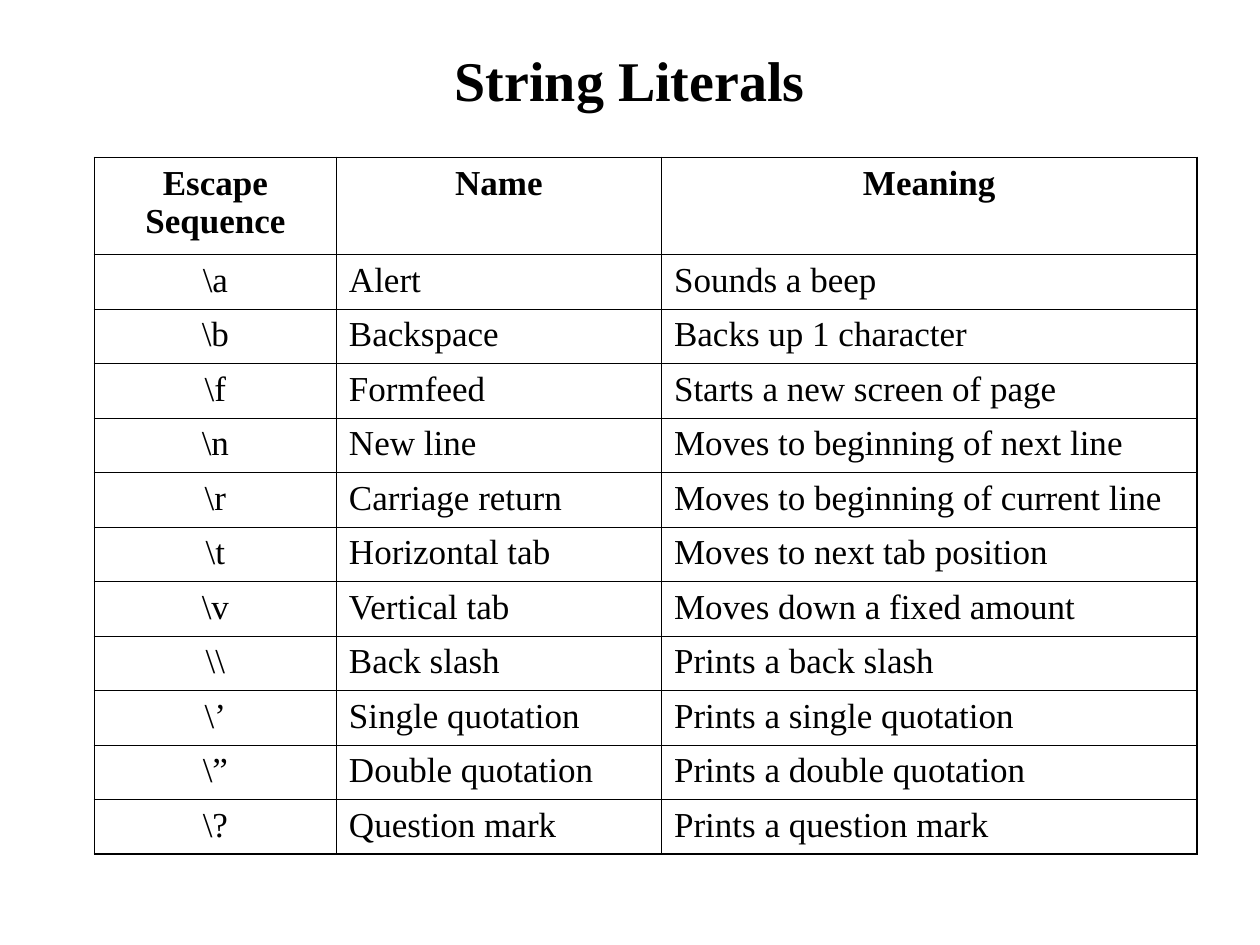
"""Build the String Literals slide with its table of escape sequences."""
from dataclasses import dataclass
from typing import NamedTuple

from lxml import etree
from pptx import Presentation
from pptx import util as u
from pptx.dml.color import RGBColor
from pptx.enum import text
from pptx.oxml.ns import qn


@dataclass(frozen=True)
class Theme:
    font: str = "Times New Roman"
    ink: str = "000000"
    title_size: int = 32
    body_size: int = 20
    outer_line: float = 1.08
    inner_line: float = 0.45


class Escape(NamedTuple):
    sequence: str
    name: str
    meaning: str


class Column(NamedTuple):
    width: float
    align: text.PP_ALIGN


THEME = Theme()
CENTER, LEFT = text.PP_ALIGN.CENTER, text.PP_ALIGN.LEFT
COLUMNS = [Column(1.92, CENTER), Column(2.58, LEFT), Column(4.25, LEFT)]
TABLE_HEIGHT, HEADER_HEIGHT = 5.53, 0.77
HEADER = Escape("Escape Sequence", "Name", "Meaning")
ESCAPES = [
    Escape(r"\a", "Alert", "Sounds a beep"),
    Escape(r"\b", "Backspace", "Backs up 1 character"),
    Escape(r"\f", "Formfeed", "Starts a new screen of page"),
    Escape(r"\n", "New line", "Moves to beginning of next line"),
    Escape(r"\r", "Carriage return", "Moves to beginning of current line"),
    Escape(r"\t", "Horizontal tab", "Moves to next tab position"),
    Escape(r"\v", "Vertical tab", "Moves down a fixed amount"),
    Escape(r"\\", "Back slash", "Prints a back slash"),
    Escape(r"\’", "Single quotation", "Prints a single quotation"),
    Escape(r"\”", "Double quotation", "Prints a double quotation"),
    Escape(r"\?", "Question mark", "Prints a question mark"),
]


def write(frame, words: str, size: int, bold: bool, align: text.PP_ALIGN) -> None:
    """Put one formatted paragraph in a text frame."""
    paragraph = frame.paragraphs[0]
    paragraph.alignment = align
    run = paragraph.add_run()
    run.text = words
    for name, value in {"name": THEME.font, "size": u.Pt(size), "bold": bold}.items():
        setattr(run.font, name, value)
    run.font.color.rgb = RGBColor.from_string(THEME.ink)


def add_border(cell, outer_sides: dict[str, bool]) -> None:
    """Draw the four sides of a cell, heavier along the table's edge."""
    properties = cell._tc.get_or_add_tcPr()
    for side, is_outer in outer_sides.items():
        width = THEME.outer_line if is_outer else THEME.inner_line
        line = etree.SubElement(properties, qn(f"a:ln{side}"), w=str(u.Pt(width)))
        fill = etree.SubElement(line, qn("a:solidFill"))
        etree.SubElement(fill, qn("a:srgbClr"), val=THEME.ink)


def add_title(slide, words: str) -> None:
    """Place and fill the title placeholder."""
    title = slide.shapes.title
    box = {"left": 0.75, "top": 0.25, "width": 8.5, "height": 0.75}
    for name, value in box.items():
        setattr(title, name, u.Inches(value))
    title.text_frame.auto_size = text.MSO_AUTO_SIZE.NONE
    title.text_frame.vertical_anchor = text.MSO_ANCHOR.MIDDLE
    write(title.text_frame, words, THEME.title_size, True, CENTER)


def add_escape_table(slide, records: list[Escape]) -> None:
    """Draw the header and one row for each escape sequence."""
    last_row, last_column = len(records) - 1, len(COLUMNS) - 1
    table_width = sum(column.width for column in COLUMNS)
    table = slide.shapes.add_table(
        len(records), len(COLUMNS), u.Inches(0.75), u.Inches(1.25),
        u.Inches(table_width), u.Inches(TABLE_HEIGHT)).table
    for name in ("first_row", "horz_banding"):
        setattr(table, name, False)
    for index, column in enumerate(COLUMNS):
        table.columns[index].width = u.Inches(column.width)
    body_height = (TABLE_HEIGHT - HEADER_HEIGHT) / last_row
    for row, record in enumerate(records):
        is_header = row == 0
        table.rows[row].height = u.Inches(HEADER_HEIGHT if is_header else body_height)
        for index, words in enumerate(record):
            cell = table.cell(row, index)
            for side in ("left", "right", "top", "bottom"):
                margin = 0.1 if side in ("left", "right") else 0.05
                setattr(cell, f"margin_{side}", u.Inches(margin))
            add_border(cell, {"L": index == 0, "R": index == last_column,
                              "T": is_header, "B": row == last_row})
            cell.fill.background()
            align = CENTER if is_header else COLUMNS[index].align
            write(cell.text_frame, words, THEME.body_size, is_header, align)


def main() -> None:
    """Create and save the presentation."""
    presentation = Presentation()
    presentation.slide_width, presentation.slide_height = u.Inches(10), u.Inches(7.5)
    slide = presentation.slides.add_slide(presentation.slide_layouts[5])
    add_title(slide, "String Literals")
    add_escape_table(slide, [HEADER, *ESCAPES])
    presentation.save("out.pptx")


if __name__ == "__main__":
    main()
